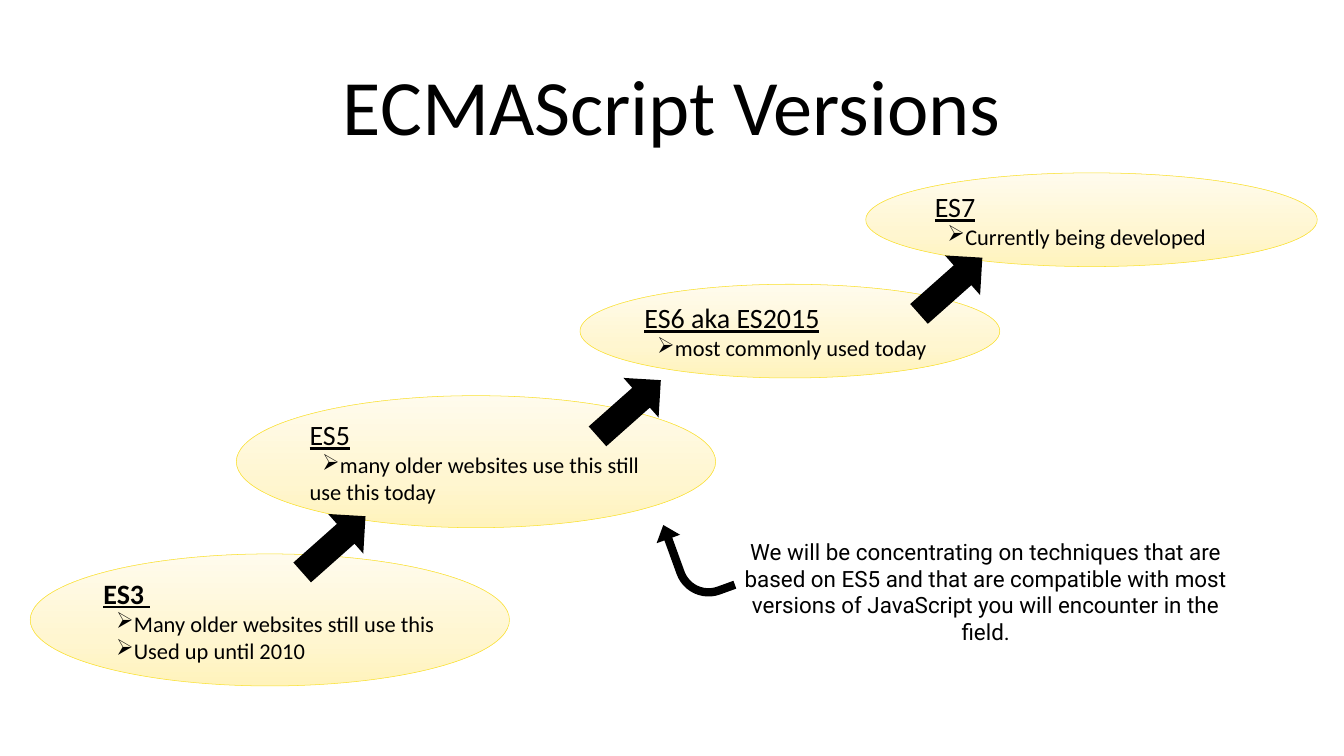
from copy import deepcopy

from lxml import etree
from pptx import Presentation
from pptx.dml.color import RGBColor
from pptx.enum import shapes, text
from pptx.oxml import ns
from pptx.util import Inches, Pt

COLORS = {"ink": "000000", "outline": "F9E12C"}
GLOW = [(0, "FFF3BC"), (0.35, "FFF6D0"), (1, "FFFBED")]
INSET = 0.06

# box, heading, heading is bold, points
VERSIONS = [
    ((4.69, 7.85, 9.51, 2.62), "ES5", False,
     ["many older websites use this still use this today"]),
    ((11.51, 5.64, 8.33, 1.86), "ES6 aka ES2015", False,
     ["most commonly used today"]),
    ((0.6, 10.99, 9.51, 2.62), "ES3 ", True,
     ["Many older websites still use this", "Used up until 2010"]),
    ((17.18, 3.43, 8.96, 1.86), "ES7", False,
     ["Currently being developed"]),
]
STEP_ARROWS = [(6.1, 9.96), (11.96, 7.26), (18.34, 4.83)]
NOTE = ("We will be concentrating on techniques that are based on ES5 and that "
        "are compatible with most versions of JavaScript you will encounter in "
        "the field.")


def rgb(name):
    return RGBColor.from_string(COLORS[name])


def inches(box):
    return [Inches(length) for length in box]


def add_run(paragraph, words, size, font="Calibri", bold=False, underline=False):
    run = paragraph.add_run()
    run.text = words
    run.font.name = font
    run.font.size = Pt(size)
    run.font.bold = bold
    run.font.underline = underline
    run.font.color.rgb = rgb("ink")


def set_frame(frame, anchor):
    frame.word_wrap = True
    frame.vertical_anchor = anchor
    frame.margin_left = frame.margin_right = Inches(INSET)
    frame.margin_top = frame.margin_bottom = Inches(INSET)


def add_bullet(paragraph):
    paragraph.level = 1
    props = paragraph._p.get_or_add_pPr()
    props.set("marL", "0")
    props.set("indent", str(Inches(0.25)))
    etree.SubElement(props, ns.qn("a:buChar")).set("char", "➢")


def fill_with_glow(fill):
    fill.gradient()
    fill.gradient_angle = 90
    first = fill.gradient_stops[0]._gs
    first.addnext(deepcopy(first))
    for stop, (position, color) in zip(fill.gradient_stops, GLOW):
        stop.position = position
        stop.color.rgb = RGBColor.from_string(color)


def add_title(slide, box):
    title = slide.shapes.title
    title.left, title.top, title.width, title.height = inches(box)
    set_frame(title.text_frame, text.MSO_ANCHOR.MIDDLE)
    paragraph = title.text_frame.paragraphs[0]
    paragraph.alignment = text.PP_ALIGN.CENTER
    add_run(paragraph, "ECMAScript Versions", 112)


def add_version(slide, box, heading, bold, points):
    oval = slide.shapes.add_shape(shapes.MSO_SHAPE.OVAL, *inches(box))
    oval.shadow.inherit = False
    fill_with_glow(oval.fill)
    oval.line.color.rgb = rgb("outline")
    oval.line.width = Pt(0.75)
    frame = oval.text_frame
    set_frame(frame, text.MSO_ANCHOR.MIDDLE)
    frame.paragraphs[0].alignment = text.PP_ALIGN.LEFT
    add_run(frame.paragraphs[0], heading, 40, bold=bold, underline=True)
    for point in points:
        paragraph = frame.add_paragraph()
        paragraph.alignment = text.PP_ALIGN.LEFT
        add_bullet(paragraph)
        add_run(paragraph, point, 32)


def add_arrow(slide, preset, box, rotation, adjustments=()):
    arrow = slide.shapes.add_shape(preset, *inches(box))
    arrow.shadow.inherit = False
    arrow.rotation = rotation
    arrow.fill.solid()
    arrow.fill.fore_color.rgb = rgb("ink")
    arrow.line.fill.background()
    for index, value in enumerate(adjustments):
        arrow.adjustments[index] = value


def add_note(slide, box):
    frame = slide.shapes.add_textbox(*inches(box)).text_frame
    frame.word_wrap = True
    frame.paragraphs[0].alignment = text.PP_ALIGN.CENTER
    add_run(frame.paragraphs[0], NOTE, 32, font="Roboto")


def main():
    deck = Presentation()
    deck.slide_width, deck.slide_height = Inches(26.67), Inches(15)
    slide = deck.slides.add_slide(deck.slide_layouts.get_by_name("Title Only"))
    add_title(slide, (1.85, 0.81, 22.97, 2.5))
    for version in VERSIONS:
        add_version(slide, *version)
    for left, top in STEP_ARROWS:
        add_arrow(slide, shapes.MSO_SHAPE.DOWN_ARROW, (left, top, 1.05, 1.68), 228.4)
    add_note(slide, (14.3, 10.62, 10.52, 2.26))
    add_arrow(slide, shapes.MSO_SHAPE.BENT_ARROW, (12.93, 10.5, 1.68, 1.18), 250.1,
              (0.14, 0.21, 0.25, 0.57))
    deck.save("out.pptx")


if __name__ == "__main__":
    main()
